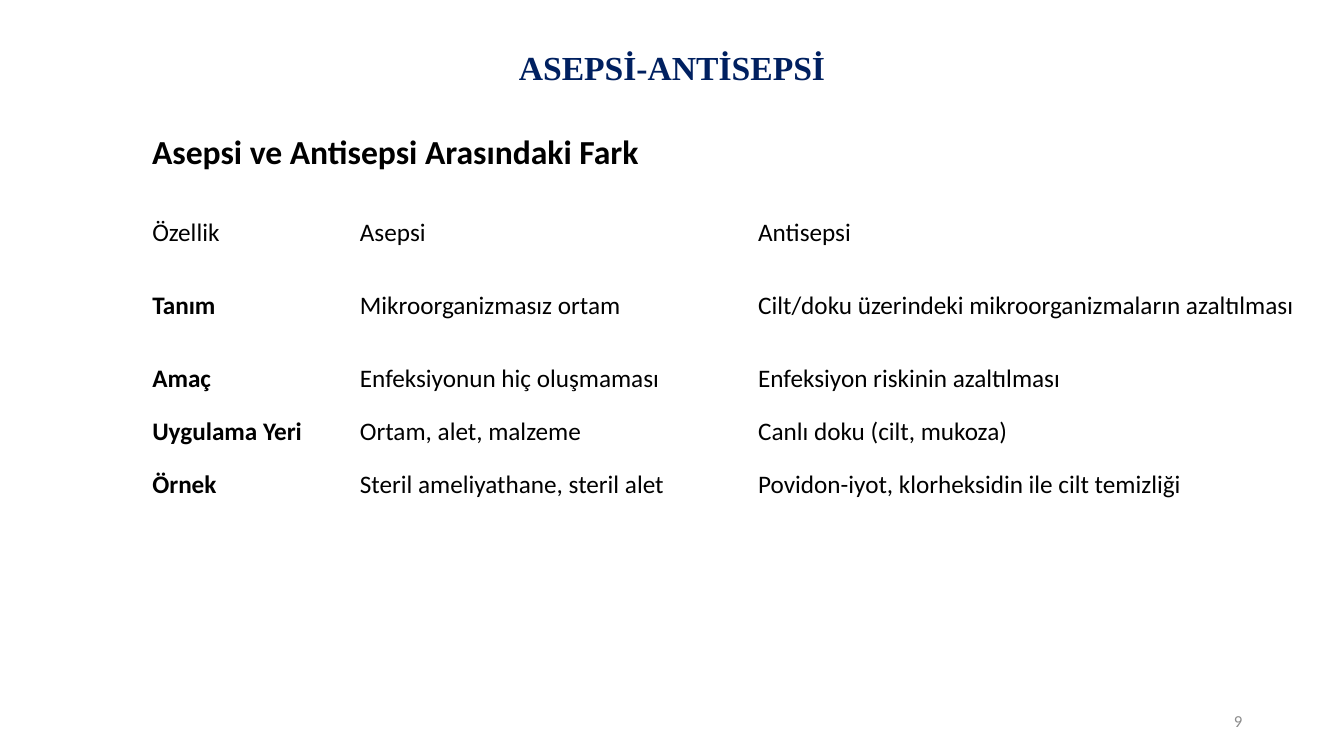
from pptx import Presentation
from pptx.dml.color import RGBColor
from pptx.enum.text import MSO_ANCHOR, MSO_AUTO_SIZE, PP_ALIGN
from pptx.util import Inches, Pt

TOP, MIDDLE = MSO_ANCHOR.TOP, MSO_ANCHOR.MIDDLE
LEFT, CENTER, RIGHT = PP_ALIGN.LEFT, PP_ALIGN.CENTER, PP_ALIGN.RIGHT
NO_AUTOFIT = MSO_AUTO_SIZE.NONE
NAVY = RGBColor(0x00, 0x20, 0x60)
BLACK = RGBColor(0x00, 0x00, 0x00)
GRAY = RGBColor(0x8C, 0x8C, 0x8C)
TITLE_FONT, BODY_FONT = "Times New Roman", "Calibri"
TITLE_ONLY = 5

MARGIN = 10.58
COLUMNS = [15.45, 29.63, 41.63]
ROW, TALL_ROW = 7.07, 12.27
COMPARISON = [
    ("Özellik", "Asepsi", "Antisepsi"),
    ("Tanım", "Mikroorganizmasız ortam",
     "Cilt/doku üzerindeki mikroorganizmaların azaltılması"),
    ("Amaç", "Enfeksiyonun hiç oluşmaması", "Enfeksiyon riskinin azaltılması"),
    ("Uygulama Yeri", "Ortam, alet, malzeme", "Canlı doku (cilt, mukoza)"),
    ("Örnek", "Steril ameliyathane, steril alet",
     "Povidon-iyot, klorheksidin ile cilt temizliği"),
]


class SlideBuilder:
    """Places elements on a grid of 100 columns by 100 rows."""

    def __init__(self, prs):
        self.col = prs.slide_width / 100
        self.row = prs.slide_height / 100
        self.s = prs.slides.add_slide(prs.slide_layouts[TITLE_ONLY])

    def box(self, x, y, w, h):
        return (round(x * self.col), round(y * self.row),
                round(w * self.col), round(h * self.row))

    def set_text(self, tf, text, size, color=BLACK, bold=False, align=LEFT,
                 font=BODY_FONT):
        tf.text = text
        p = tf.paragraphs[0]
        p.alignment = align
        f = p.runs[0].font
        f.name, f.size, f.bold = font, Pt(size), bold
        f.color.rgb = color

    def title(self, text, x, y, w, h):
        sp = self.s.shapes.title
        sp.left, sp.top, sp.width, sp.height = self.box(x, y, w, h)
        tf = sp.text_frame
        tf.auto_size, tf.vertical_anchor = NO_AUTOFIT, TOP
        self.set_text(tf, text, 24, NAVY, True, CENTER, TITLE_FONT)

    def text(self, text, x, y, w, h, size, wrap=True, **style):
        tf = self.s.shapes.add_textbox(*self.box(x, y, w, h)).text_frame
        tf.word_wrap, tf.vertical_anchor = wrap, MIDDLE
        self.set_text(tf, text, size, **style)

    def table(self, data, x, y, widths, heights):
        frame = self.s.shapes.add_table(
            len(heights), len(widths),
            *self.box(x, y, sum(widths), sum(heights)))
        table = frame.table
        table.first_row = table.horz_banding = False
        for column, width in zip(table.columns, widths):
            column.width = round(width * self.col)
        for r, (values, height) in enumerate(zip(data, heights)):
            table.rows[r].height = round(height * self.row)
            for c, value in enumerate(values):
                cell = table.cell(r, c)
                cell.fill.background()
                cell.vertical_anchor = MIDDLE
                self.set_text(cell.text_frame, value, 18,
                              bold=r > 0 and c == 0)


def main():
    prs = Presentation()
    prs.slide_width, prs.slide_height = Inches(13.33), Inches(7.5)
    slide = SlideBuilder(prs)
    slide.title("ASEPSİ-ANTİSEPSİ", 0, 5.47, 100, 6.67)
    slide.text("Asepsi ve Antisepsi Arasındaki Fark", MARGIN, 16.5, 38.1, 7,
               24, wrap=False, bold=True)
    slide.table(COMPARISON, MARGIN, 27.2, COLUMNS,
                [ROW, TALL_ROW, ROW, ROW, ROW])
    slide.text("9", 70.67, 92.67, 22.5, 5.33, 12, color=GRAY, align=RIGHT)
    prs.save("out.pptx")


if __name__ == "__main__":
    main()
